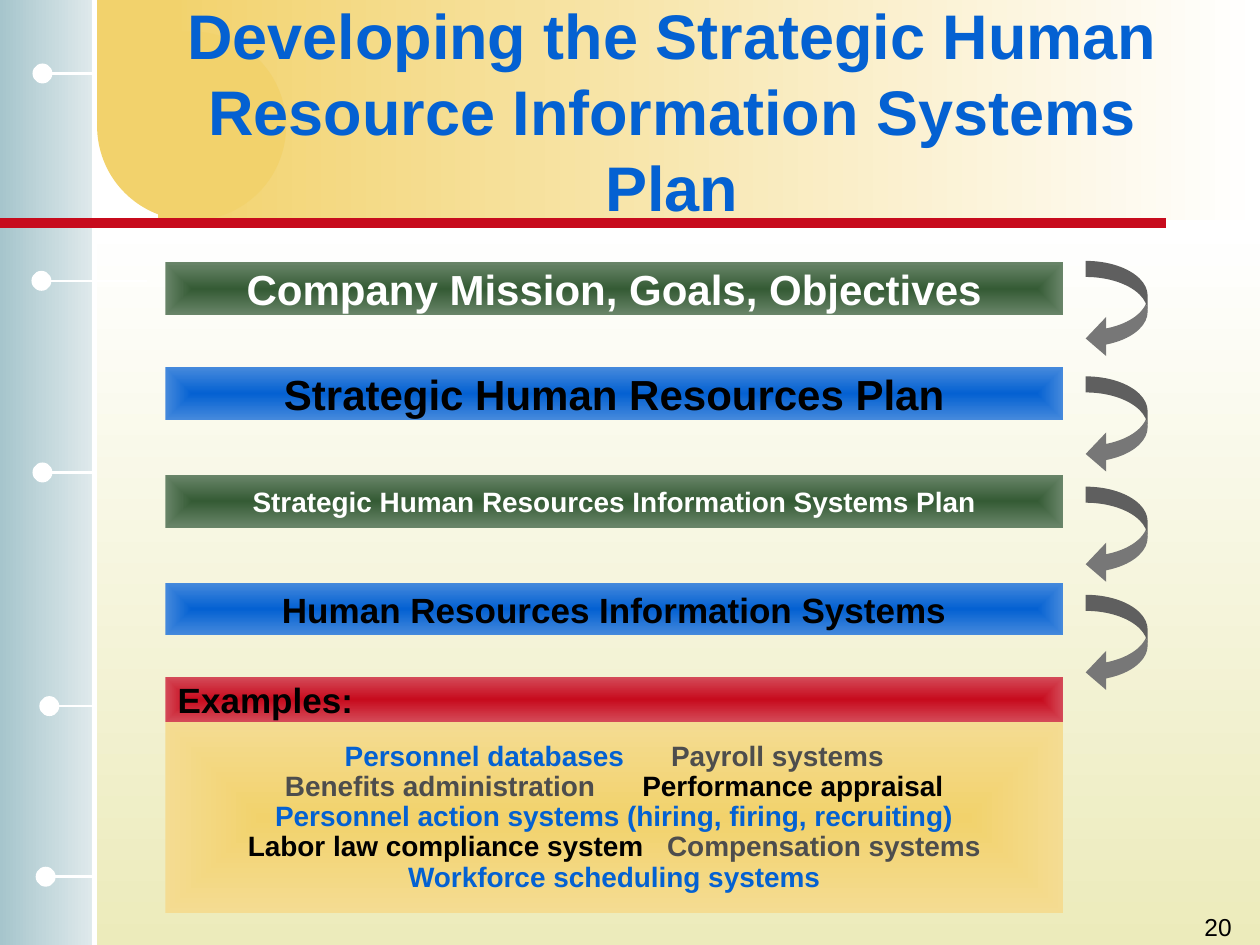
import lxml.etree
import pptx
import pptx.dml.color
import pptx.enum.shapes
import pptx.enum.text
import pptx.oxml
import pptx.oxml.ns
import pptx.util

SHAPE = pptx.enum.shapes.MSO_SHAPE
ALIGN = pptx.enum.text.PP_ALIGN
ANCHOR = pptx.enum.text.MSO_ANCHOR
qn = pptx.oxml.ns.qn

COLORS = {
    "white": "FFFFFF", "black": "000000", "gray": "4D4D4D", "arrow": "777777",
    "blue": "0461D2", "light blue": "4589DC",
    "green": "355B35", "light green": "698569",
    "red": "C70B1D", "light red": "D44A58",
    "gold": "F2D26C", "light gold": "F4DC92",
    "cream": "ECEBBB", "mist": "E0EAEC", "teal": "A6C5CC",
}


class Deck:
    """Style and current slide; lengths are cells of a 120 x 90 grid."""

    columns, rows = 120, 90
    font_name = "Arial"

    def __init__(self):
        self.file = pptx.Presentation()
        self.file.slide_width = pptx.util.Inches(10)
        self.file.slide_height = pptx.util.Inches(7.5)
        self.slide = self.file.slides.add_slide(self.file.slide_layouts[5])

    def x(self, columns):
        return round(self.file.slide_width * columns / self.columns)

    def y(self, rows):
        return round(self.file.slide_height * rows / self.rows)

    def box(self, left, top, width, height):
        return self.x(left), self.y(top), self.x(width), self.y(height)

    def rgb(self, color):
        return pptx.dml.color.RGBColor.from_string(COLORS[color])

    def gradient(self, shape, first, last, angle=None):
        """Fill along an angle, or from the centre outwards without one."""
        if angle is None:
            course = ('<a:path path="rect"><a:fillToRect l="50000" t="50000" '
                      'r="50000" b="50000"/></a:path>')
        else:
            course = f'<a:lin ang="{angle * 60000}" scaled="0"/>'
        stops = "".join(
            f'<a:gs pos="{place}"><a:srgbClr val="{COLORS[color]}"/></a:gs>'
            for place, color in ((0, first), (100000, last)))
        fill = pptx.oxml.parse_xml(
            f'<a:gradFill {pptx.oxml.ns.nsdecls("a")} rotWithShape="1">'
            f'<a:gsLst>{stops}</a:gsLst>{course}</a:gradFill>')
        shape._element.spPr.find(qn("a:prstGeom")).addnext(fill)

    def shape(self, kind, area, fill):
        """Add a preset shape; fill is a colour name or gradient arguments."""
        shape = self.slide.shapes.add_shape(kind, *self.box(*area))
        shape.shadow.inherit = False
        shape.line.fill.background()
        if isinstance(fill, tuple):
            self.gradient(shape, *fill)
        else:
            shape.fill.solid()
            shape.fill.fore_color.rgb = self.rgb(fill)
        return shape

    def line(self, start, end, color, width):
        line = self.slide.shapes.add_connector(
            pptx.enum.shapes.MSO_CONNECTOR.STRAIGHT,
            self.x(start[0]), self.y(start[1]), self.x(end[0]), self.y(end[1]))
        line.line.color.rgb = self.rgb(color)
        line.line.width = pptx.util.Pt(width)
        lxml.etree.SubElement(line._element.spPr, qn("a:effectLst"))

    def text(self, shape, paragraphs, size, align=ALIGN.CENTER, bold=True,
             anchor=ANCHOR.MIDDLE, spacing=1.0):
        """Write paragraphs of (text, colour, spaces before it) phrases."""
        frame = shape.text_frame
        frame_format = {"word_wrap": True, "vertical_anchor": anchor,
                        "auto_size": pptx.enum.text.MSO_AUTO_SIZE.NONE}
        for name, value in frame_format.items():
            setattr(frame, name, value)
        font_format = {"name": self.font_name, "bold": bold,
                       "size": pptx.util.Pt(size)}
        for number, phrases in enumerate(paragraphs):
            paragraph = frame.add_paragraph() if number else frame.paragraphs[0]
            paragraph.alignment = align
            paragraph.line_spacing = spacing
            for words, color, gap in phrases:
                if gap:
                    self.run(paragraph, " ", color, font_format, gap)
                self.run(paragraph, words, color, font_format)

    def run(self, paragraph, words, color, font_format, gap=1):
        run = paragraph.add_run()
        run.text = words
        for name, value in font_format.items():
            setattr(run.font, name, value)
        run.font.color.rgb = self.rgb(color)
        if gap > 1:  # one space widened by letter spacing
            extra = font_format["size"].pt * 0.28 * (gap - 1)
            run._r.get_or_add_rPr().set("spc", str(round(extra * 100)))

    def title(self, words, area, size):
        title = self.slide.shapes.title
        title.left, title.top, title.width, title.height = self.box(*area)
        self.text(title, [[(words, "blue", 0)]], size)
        self.slide.shapes._spTree.append(title._element)

    def bar(self, words, top, height, shade, color, size, align=ALIGN.CENTER):
        bar = self.shape(SHAPE.RECTANGLE, (BAR_LEFT, top, BAR_WIDTH, height),
                         (shade, "light " + shade))
        self.text(bar, [[(words, color, 0)]], size, align)

    def note(self, words, area, size):
        note = self.slide.shapes.add_textbox(*self.box(*area))
        self.text(note, [[(words, "black", 0)]], size, ALIGN.RIGHT, False,
                  ANCHOR.TOP)


BAR_LEFT, BAR_WIDTH = 15.75, 85.5

# Dot left, line end and row of each marker on the side rail
MARKERS = [(3.1, 9, 7), (3, 14, 26.75), (3.1, 8.75, 45),
           (3.75, 9, 67.25), (3.4, 8.75, 83.5)]
DOT = 1.9

STEPS = [
    ("Company Mission, Goals, Objectives", 25, "green", "white", 24),
    ("Strategic Human Resources Plan", 35, "blue", "black", 24),
    ("Strategic Human Resources Information Systems Plan", 45.25, "green",
     "white", 16),
    ("Human Resources Information Systems", 55.5, "blue", "black", 20),
]
ARROW_TOPS = [24.85, 35.85, 46.35, 56.65]

EXAMPLES = [
    [("Personnel databases", "blue", 0), ("Payroll systems", "gray", 6)],
    [("Benefits administration", "gray", 0),
     ("Performance appraisal", "black", 6)],
    [("Personnel action systems (hiring, firing, recruiting)", "blue", 0)],
    [("Labor law compliance system", "black", 0),
     ("Compensation systems", "gray", 3)],
    [("Workforce scheduling systems", "blue", 0)],
]


def main():
    deck = Deck()

    # Background, side rail and title band
    deck.shape(SHAPE.RECTANGLE, (8.75, 21.25, 111.25, 68.75),
               ("white", "cream", 90))
    deck.shape(SHAPE.RECTANGLE, (0, 0, 9, 90), ("mist", "teal", 180))
    deck.shape(SHAPE.RECTANGLE, (15, 0, 105, 21), ("white", "gold", 180))
    deck.shape(SHAPE.OVAL, (9.25, 3, 18, 18), "gold")
    deck.shape(SHAPE.RECTANGLE, (9.25, 0, 8, 11.5), "gold")
    deck.line((9, 0), (9, 90), "white", 3)
    for dot_left, line_end, row in MARKERS:
        deck.line((line_end, row), (dot_left + 1, row), "white", 1.5)
        deck.shape(SHAPE.OVAL, (dot_left, row - DOT / 2, DOT, DOT), "white")
    deck.line((0, 21.25), (111, 21.25), "red", 6)

    deck.title("Developing the Strategic Human Resource Information Systems "
               "Plan", (13, 3, 102, 15), 36)

    # Examples panel and its heading
    panel = deck.shape(SHAPE.RECTANGLE, (BAR_LEFT, 68.75, BAR_WIDTH, 18.25),
                       ("gold", "light gold"))
    deck.text(panel, EXAMPLES, 16, spacing=0.9)
    deck.bar("Examples:", 64.5, 4.25, "red", "black", 20, ALIGN.LEFT)

    # Planning steps, each with an arrow to the next
    for (words, top, shade, color, size), arrow_top in zip(STEPS, ARROW_TOPS):
        deck.bar(words, top, 5, shade, color, size)
        arrow = deck.shape(SHAPE.CURVED_LEFT_ARROW,
                           (103.4, arrow_top, 5.9, 9.25), "arrow")
        for place, share in enumerate((0.26, 0.63, 0.33)):
            arrow.adjustments[place] = share

    # Slide number
    deck.note("20", (93.5, 86.25, 25, 6), 14)

    deck.file.save("out.pptx")


if __name__ == "__main__":
    main()
